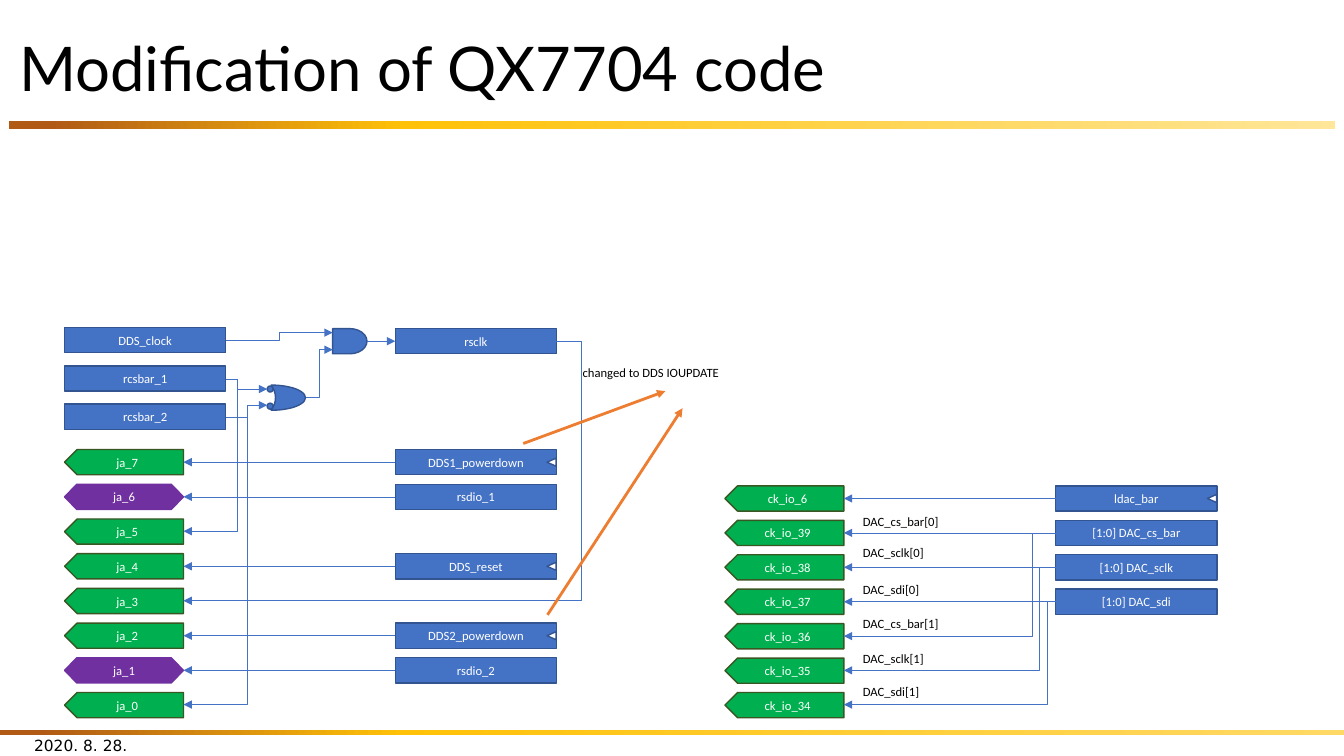
from copy import deepcopy
from lxml import etree
from pptx import Presentation
from pptx.dml.color import RGBColor
from pptx.enum.shapes import MSO_CONNECTOR as Link, MSO_SHAPE as Form
from pptx.enum.text import MSO_ANCHOR as Anchor, PP_ALIGN as Align
from pptx.oxml.ns import qn
from pptx.util import Inches, Pt

BLUE = RGBColor(0x44, 0x72, 0xC4)
NAVY = RGBColor(0x32, 0x54, 0x91)
GREEN = RGBColor(0x00, 0xB0, 0x50)
MOSS = RGBColor(0x38, 0x57, 0x23)
PURPLE = RGBColor(0x70, 0x30, 0xA0)
ORANGE = RGBColor(0xED, 0x7D, 0x31)
WHITE = RGBColor(0xFF, 0xFF, 0xFF)
BLACK = RGBColor(0x00, 0x00, 0x00)
RUST = RGBColor(0xB0, 0x5A, 0x16)
GOLD = RGBColor(0xFF, 0xC2, 0x08)
CREAM = RGBColor(0xFF, 0xE6, 0x99)
SAND = RGBColor(0xFF, 0xD9, 0x66)

HIGH = 0.25    # height of every block
MID = HIGH / 2
PORT, REG = 1.18, 1.6    # widths of ports and registers

prs = Presentation()
prs.slide_width, prs.slide_height = Inches(13.33), Inches(7.5)
slide = prs.slides.add_slide(prs.slide_layouts[6])
shapes = slide.shapes


def block(form, x, y, w, h=HIGH, text="", fill=BLUE, edge=NAVY):
    shape = shapes.add_shape(form, Inches(x), Inches(y), Inches(w), Inches(h))
    shape.shadow.inherit = False
    shape.fill.solid()
    shape.fill.fore_color.rgb = fill
    shape.line.color.rgb = edge
    shape.line.width = Pt(1)
    if text:
        frame = shape.text_frame
        frame.vertical_anchor = Anchor.MIDDLE
        para = frame.paragraphs[0]
        para.text = text
        para.alignment = Align.CENTER
        para.font.size, para.font.name = Pt(9), "Calibri"
        para.font.color.rgb = WHITE
    return shape


def wire(x1, y1, x2, y2, bend=None, color=BLUE, width=0.5):
    """Arrow from (x1, y1) to (x2, y2), turning at x = bend if given."""
    kind = Link.STRAIGHT if bend is None else Link.ELBOW
    line = shapes.add_connector(kind, Inches(x1), Inches(y1), Inches(x2), Inches(y2))
    line.line.color.rgb = color
    line.line.width = Pt(width)
    props = line._element.spPr
    etree.SubElement(props.find(qn("a:ln")), qn("a:tailEnd"), type="triangle")
    etree.SubElement(props, qn("a:effectLst"))
    if bend is not None:
        ratio = round((bend - x1) / (x2 - x1) * 100000)
        guides = props.find(qn("a:prstGeom")).get_or_add_avLst()
        etree.SubElement(guides, qn("a:gd"), name="adj1", fmla=f"val {ratio}")


# Gradient bars
for x, y, w, h, last in [(0.09, 1.2, 13.15, 0.08, CREAM), (0, 7.24, 13.33, 0.05, SAND)]:
    bar = block(Form.RECTANGLE, x, y, w, h)
    bar.line.fill.background()
    bar.fill.gradient()
    bar.fill.gradient_angle = 0
    stops = bar._element.spPr.find(".//" + qn("a:gsLst"))
    stops.append(deepcopy(stops[1]))
    for stop, (pos, color) in zip(bar.fill.gradient_stops,
                                  [(0.03, RUST), (0.3, GOLD), (1, last)]):
        stop.position = pos
        stop.color.rgb = color

# Clock gating
for x, y, name in [(0.64, 3.25, "DDS_clock"), (0.64, 3.63, "rcsbar_1"),
                   (0.64, 4.01, "rcsbar_2"), (3.92, 3.26, "rsclk")]:
    block(Form.RECTANGLE, x, y, REG, text=name)
for x, y in [(3.3, 3.28), (3.3, 3.44), (2.65, 3.83), (2.65, 4)]:
    block(Form.OVAL, x, y, 0.06, 0.06)
block(Form.FLOWCHART_DELAY, 3.3, 3.26, 0.34)
gate = block(Form.MOON, 2.69, 3.82, 0.34)
gate.rotation = 180
gate.adjustments[0] = 0.875
wire(2.24, 3.38, 3.3, 3.3, 2.77)
wire(3.04, 3.94, 3.3, 3.47, 3.17)
wire(2.24, 3.76, 2.65, 3.86, 2.35)
wire(2.24, 4.14, 2.65, 4.02, 2.45)
wire(3.64, 3.385, 3.92, 3.385)

# Both port columns: left, top, pitch, port names, register by row
jas = [f"ja_{n}" for n in range(7, -1, -1)]
cks = [f"ck_io_{n}" for n in (6, 39, 38, 37, 36, 35, 34)]
dds = {0: "DDS1_powerdown", 1: "rsdio_1", 3: "DDS_reset",
       5: "DDS2_powerdown", 6: "rsdio_2"}
dac = {0: "ldac_bar", 1: "[1:0] DAC_cs_bar", 2: "[1:0] DAC_sclk", 3: "[1:0] DAC_sdi"}
TICKED = ("DDS1_powerdown", "DDS_reset", "DDS2_powerdown", "ldac_bar")
for left, top, pitch, ports, regs in [(0.64, 4.46, 2.41 / 7, jas, dds),
                                      (7.19, 4.82, 2.05 / 6, cks, dac)]:
    for row, port in enumerate(ports):
        y = top + row * pitch
        if port in ("ja_6", "ja_1"):
            pad = block(Form.HEXAGON, left, y, PORT, text=port, fill=PURPLE, edge=PURPLE)
            pad.adjustments[0] = 0.486
        else:
            pad = block(Form.PENTAGON, left, y, PORT, text=port, fill=GREEN, edge=MOSS)
            pad._element.spPr.find(qn("a:xfrm")).set("flipH", "1")
        if row in regs:
            start = left + 3.28
            block(Form.RECTANGLE, start, y, REG, text=regs[row])
            wire(start, y + MID, left + PORT, y + MID)
            if regs[row] in TICKED:
                tick = block(Form.ISOSCELES_TRIANGLE, start + 1.51, y + 0.08,
                             0.08, 0.09, fill=WHITE)
                tick.rotation = 270

# Feedback and shared lines
wire(2.24, 4.14, 1.82, 6.99, 2.45)
wire(2.24, 3.76, 1.82, 5.27, 2.35)
wire(5.52, 3.39, 1.82, 5.96, 5.77)
for y, bend in [(5.29, 10.24), (5.63, 10.31), (5.97, 10.39)]:
    wire(10.46, y, 8.37, y + 1.02, bend)
wire(5.19, 4.4, 6.6, 3.88, color=ORANGE, width=2)
wire(5.43, 6.1, 6.77, 4.05, color=ORANGE, width=2)

# Free text
notes = [(8.46, y, 1.01, HIGH, name, 9, "Calibri") for y, name in [
    (5.05, "DAC_cs_bar[0]"), (5.36, "DAC_sclk[0]"), (5.72, "DAC_sdi[0]"),
    (6.06, "DAC_cs_bar[1]"), (6.41, "DAC_sclk[1]"), (6.73, "DAC_sdi[1]")]]
notes += [(5.68, 3.57, 1.79, HIGH, "changed to DDS IOUPDATE", 9, "Calibri"),
          (0.09, 0.17, 13.15, 0.98, "Modification of QX7704 code", 44, "Lato"),
          (0.24, 7.19, 3, 0.4, "2020. 8. 28.", 11, "DejaVu Sans")]
for x, y, w, h, text, size, font in notes:
    box = shapes.add_textbox(Inches(x), Inches(y), Inches(w), Inches(h))
    frame = box.text_frame
    frame.word_wrap = h > HIGH
    frame.vertical_anchor = Anchor.MIDDLE
    para = frame.paragraphs[0]
    para.text = text
    para.font.size, para.font.name = Pt(size), font
    para.font.color.rgb = BLACK

prs.save("out.pptx")
